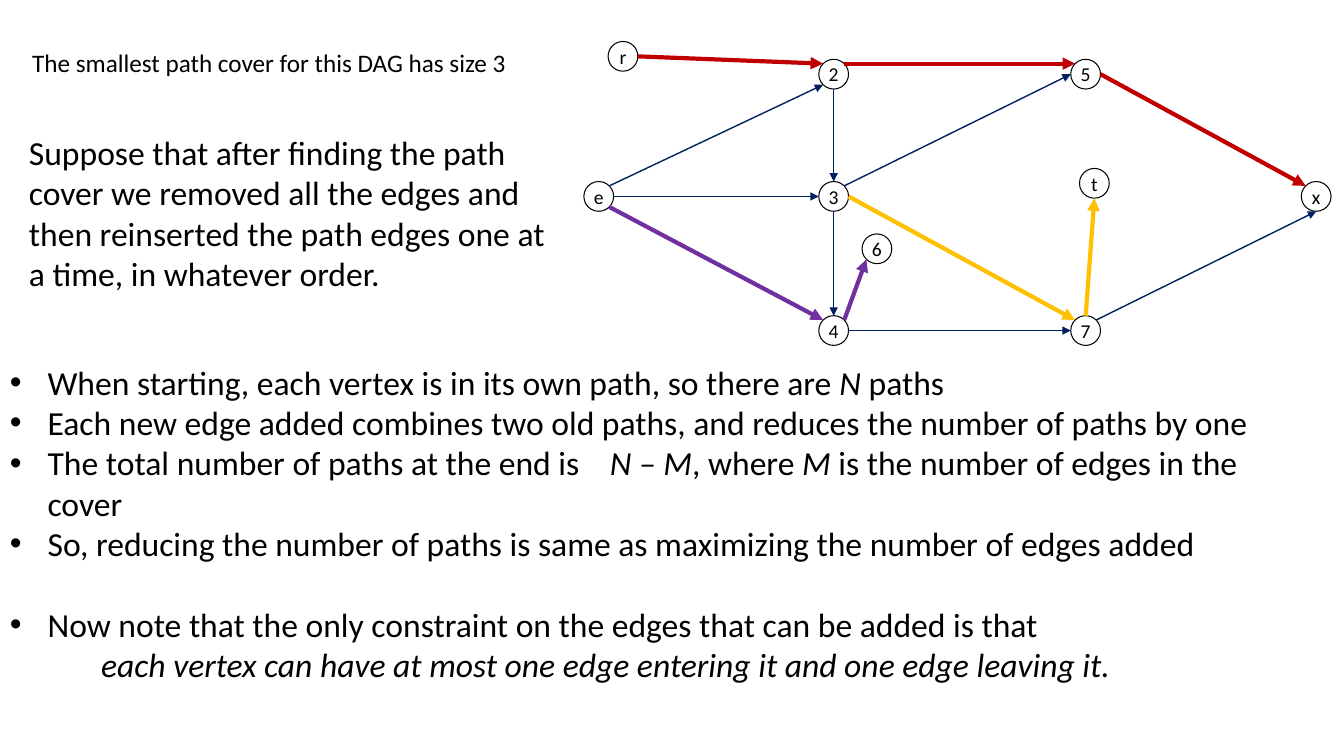
import math
from lxml import etree
from pptx import Presentation
from pptx import util as u
from pptx.dml.color import RGBColor
from pptx.enum import shapes, text
from pptx.oxml.ns import qn

INK = {"black": "000000", "navy": "002060", "red": "C00000",
       "violet": "7030A0", "gold": "FFC000"}
FONT = "Calibri"
SIZE = 0.75  # vertex diameter, cm

# Vertex centres, cm
COLS = {"left": 15.09, "mid": 21.01, "right": 27.36, "end": 33.17}
ROWS = {"top": 1.87, "mid": 4.95, "low": 8.33}
NODES = {
    "e": (COLS["left"], ROWS["mid"]),
    "2": (COLS["mid"], ROWS["top"]),
    "3": (COLS["mid"], ROWS["mid"]),
    "4": (COLS["mid"], ROWS["low"]),
    "5": (COLS["right"], ROWS["top"]),
    "7": (COLS["right"], ROWS["low"]),
    "x": (COLS["end"], ROWS["mid"]),
    "r": (15.7, 1.42),
    "t": (27.58, 4.62),
    "6": (22.1, 6.27),
}

# From, side it leaves, to, side it enters, colour
EDGES = [
    ("e", "NE", "2", "SW", "navy"),
    ("e", "E", "3", "W", "navy"),
    ("2", "S", "3", "N", "navy"),
    ("3", "S", "4", "N", "navy"),
    ("4", "E", "7", "W", "navy"),
    ("3", "NE", "5", "W", "navy"),
    ("7", "NE", "x", "S", "navy"),
    ("r", "E", "2", "NW", "red"),
    ("2", "NE", "5", "NW", "red"),
    ("5", "E", "x", "NW", "red"),
    ("e", "SE", "4", "NW", "violet"),
    ("4", "NE", "6", "SW", "violet"),
    ("3", "E", "7", "NW", "gold"),
    ("7", "N", "t", "S", "gold"),
]
SIDES = ["E", "SE", "S", "SW", "W", "NW", "N", "NE"]

TITLE = "The smallest path cover for this DAG has size 3"
SETUP = ("Suppose that after finding the path cover we removed all the edges "
         "and then reinserted the path edges one at a time, in whatever order.")

# Asterisks enclose italics
POINTS = [
    "When starting, each vertex is in its own path, so there are *N* paths",
    "Each new edge added combines two old paths, and reduces the number of "
    "paths by one",
    "The total number of paths at the end is\t*N – M*, where *M* is the "
    "number of edges in the cover",
    "So, reducing the number of paths is same as maximizing the number of "
    "edges added",
    "Now note that the only constraint on the edges that can be added is that",
]
RULE = "*each vertex can have at most one edge entering it and one edge leaving it.*"


def paint(font, size):
    font.name, font.size = FONT, u.Pt(size)
    font.color.rgb = RGBColor.from_string(INK["black"])


def add_box(slide, x, y, w, h):
    frame = slide.shapes.add_textbox(u.Cm(x), u.Cm(y), u.Cm(w), u.Cm(h)).text_frame
    frame.word_wrap = True
    return frame


def add_note(slide, words, size, *area):
    frame = add_box(slide, *area)
    frame.text = words
    paint(frame.paragraphs[0].runs[0].font, size)


def fill_line(para, words):
    """Write runs, with every second part between asterisks in italics."""
    for i, part in enumerate(words.split("*")):
        if part:
            run = para.add_run()
            run.text = part
            paint(run.font, 24)
            run.font.italic = i % 2 == 1


def indent(para, left, hang=0):
    props = para._p.get_or_add_pPr()
    props.set("marL", str(u.Cm(left)))
    props.set("indent", str(-u.Cm(hang)))
    return props


def add_points(slide):
    frame = add_box(slide, 0, 8.99, 31.9, 10.19)
    for i, words in enumerate(POINTS):
        para = frame.paragraphs[0] if i == 0 else frame.add_paragraph()
        props = indent(para, 0.95, 0.95)
        etree.SubElement(props, qn("a:buFont"), typeface="Arial")
        etree.SubElement(props, qn("a:buChar"), char="•")
        if "\t" in words:
            tabs = etree.SubElement(props, qn("a:tabLst"))
            etree.SubElement(tabs, qn("a:tab"), pos=str(u.Cm(15.12)), algn="l")
        fill_line(para, words)
    para.space_before = u.Pt(29)
    last = frame.add_paragraph()
    indent(last, 2.3)
    fill_line(last, RULE)


def add_node(slide, name, x, y):
    node = slide.shapes.add_shape(shapes.MSO_SHAPE.OVAL, u.Cm(x - SIZE / 2),
                                  u.Cm(y - SIZE / 2), u.Cm(SIZE), u.Cm(SIZE))
    node.shadow.inherit = False
    node.fill.background()
    node.line.color.rgb = RGBColor.from_string(INK["black"])
    node.line.width = u.Pt(0.75)
    frame = node.text_frame
    frame.word_wrap = False
    frame.vertical_anchor = text.MSO_ANCHOR.MIDDLE
    frame.text = name
    para = frame.paragraphs[0]
    para.alignment = text.PP_ALIGN.CENTER
    paint(para.runs[0].font, 14)


def rim(name, side):
    """Point on a vertex's circle at a compass side."""
    x, y = NODES[name]
    turn = SIDES.index(side) * math.pi / 4
    return (u.Cm(x + SIZE / 2 * math.cos(turn)),
            u.Cm(y + SIZE / 2 * math.sin(turn)))


def add_edge(slide, start, out, end, into, ink):
    edge = slide.shapes.add_connector(shapes.MSO_CONNECTOR.STRAIGHT,
                                      *rim(start, out), *rim(end, into))
    edge.line.color.rgb = RGBColor.from_string(INK[ink])
    edge.line.width = u.Pt(1 if ink == "navy" else 3)
    etree.SubElement(edge.line._get_or_add_ln(), qn("a:tailEnd"), type="triangle")
    etree.SubElement(edge._element.spPr, qn("a:effectLst"))


def main():
    deck = Presentation()
    deck.slide_width, deck.slide_height = u.Cm(33.87), u.Cm(19.05)
    slide = deck.slides.add_slide(deck.slide_layouts[6])
    for name, spot in NODES.items():
        add_node(slide, name, *spot)
    for edge in EDGES:
        add_edge(slide, *edge)
    add_note(slide, TITLE, 18, 0.56, 1.07, 17.65, 1.02)
    add_points(slide)
    add_note(slide, SETUP, 24, 0.48, 3.2, 13.61, 5.38)
    deck.save("out.pptx")


if __name__ == "__main__":
    main()
